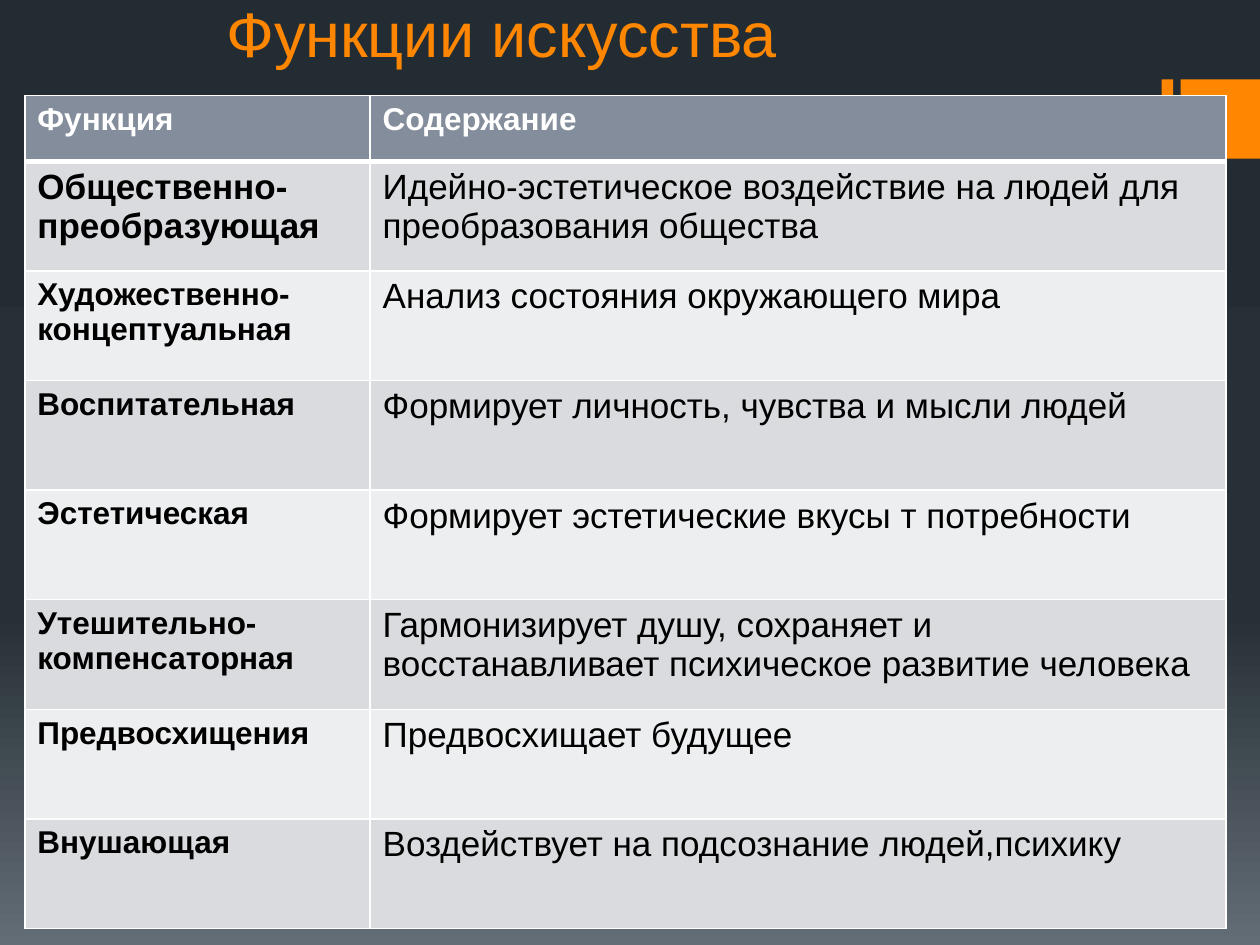
from copy import deepcopy

from lxml import etree
from pptx import Presentation
from pptx.dml.color import RGBColor
from pptx.enum.shapes import MSO_SHAPE
from pptx.enum.text import MSO_ANCHOR
from pptx.oxml.ns import qn
from pptx.util import Cm, Pt

RECTANGLE = MSO_SHAPE.RECTANGLE
TOP, BOTTOM = MSO_ANCHOR.TOP, MSO_ANCHOR.BOTTOM

ORANGE, WHITE, BLACK = "FF8600", "FFFFFF", "000000"
HEADER_FILL = "838D9B"
BAND_FILLS = ("D9DBDE", "EDEEEF")
BACKGROUND_STOPS = ((0, "242C33"), (0.65, "273037"), (1, "636D76"))

HEADINGS = ("Функция", "Содержание")
FUNCTIONS = (
    ("Общественно-преобразующая",
     "Идейно-эстетическое воздействие на людей для преобразования общества"),
    ("Художественно-концептуальная", "Анализ состояния окружающего мира"),
    ("Воспитательная", "Формирует личность, чувства и мысли людей"),
    ("Эстетическая", "Формирует эстетические вкусы т потребности"),
    ("Утешительно-компенсаторная",
     "Гармонизирует душу, сохраняет и восстанавливает психическое развитие человека"),
    ("Предвосхищения", "Предвосхищает будущее"),
    ("Внушающая", "Воздействует на подсознание людей,психику"),
)


def rgb(hex_color):
    return RGBColor.from_string(hex_color)


def write(frame, text, size=18, color=BLACK, bold=False):
    frame.word_wrap = True
    run = frame.paragraphs[0].add_run()
    run.text = text
    run.font.name = "Arial"
    run.font.size = Pt(size)
    run.font.bold = bold
    run.font.color.rgb = rgb(color)


def paint_background(slide):
    fill = slide.background.fill
    fill.gradient()
    fill.gradient_angle = 270  # counter-clockwise, so dark at the top
    first_stop = next(slide.element.iter(qn("a:gs")))
    first_stop.addnext(deepcopy(first_stop))
    for stop, (position, color) in zip(fill.gradient_stops, BACKGROUND_STOPS):
        stop.position = position
        stop.color.rgb = rgb(color)


def add_block(slide, left, width):
    block = slide.shapes.add_shape(RECTANGLE, Cm(left), Cm(1.6), Cm(width), Cm(1.6))
    block.shadow.inherit = False
    block.fill.solid()
    block.fill.fore_color.rgb = rgb(ORANGE)
    block.line.fill.background()


def add_title(slide, text):
    title = slide.shapes.add_textbox(Cm(2.54), Cm(0.33), Cm(20.32), Cm(1.2))
    title.text_frame.vertical_anchor = BOTTOM
    title.text_frame.margin_left = Cm(2.02)
    write(title.text_frame, text, size=36, color=ORANGE)


def set_borders(cell, top=1, bottom=1):
    properties = cell._tc.get_or_add_tcPr()
    for side, points in (("L", 1), ("R", 1), ("T", top), ("B", bottom)):
        line = etree.SubElement(properties, qn(f"a:ln{side}"), w=str(Pt(points)))
        solid = etree.SubElement(line, qn("a:solidFill"))
        etree.SubElement(solid, qn("a:srgbClr"), val=WHITE)


def fill_cell(cell, text, fill, top=1, bottom=1, **text_format):
    set_borders(cell, top, bottom)
    cell.fill.solid()
    cell.fill.fore_color.rgb = rgb(fill)
    cell.vertical_anchor = TOP
    write(cell.text_frame, text, **text_format)


def add_function_table(slide):
    table = slide.shapes.add_table(
        len(FUNCTIONS) + 1, 2, Cm(0.5), Cm(1.93), Cm(24.21), Cm(16.79)).table
    for column, width in zip(table.columns, (6.96, 17.25)):
        column.width = Cm(width)
    for index, row in enumerate(table.rows):
        row.height = Cm(2.21 if index else 1.32)

    # Header row, with a thick rule below it
    for column, heading in enumerate(HEADINGS):
        fill_cell(table.cell(0, column), heading, HEADER_FILL, bottom=3,
                  color=WHITE, bold=True)

    # Banded rows; the first function name is set larger
    for index, (name, content) in enumerate(FUNCTIONS):
        fill = BAND_FILLS[index % 2]
        top = 1 if index else 3
        fill_cell(table.cell(index + 1, 0), name, fill, top=top,
                  size=18 if index else 20, bold=True)
        fill_cell(table.cell(index + 1, 1), content, fill, top=top, size=20)


def main():
    presentation = Presentation()
    presentation.slide_width, presentation.slide_height = Cm(25.4), Cm(19.05)
    slide = presentation.slides.add_slide(presentation.slide_layouts[6])

    paint_background(slide)
    # Accent blocks at the right edge
    add_block(slide, left=23.42, width=0.23)
    add_block(slide, left=23.8, width=1.6)
    add_title(slide, "Функции искусства")
    add_function_table(slide)

    presentation.save("out.pptx")


if __name__ == "__main__":
    main()
